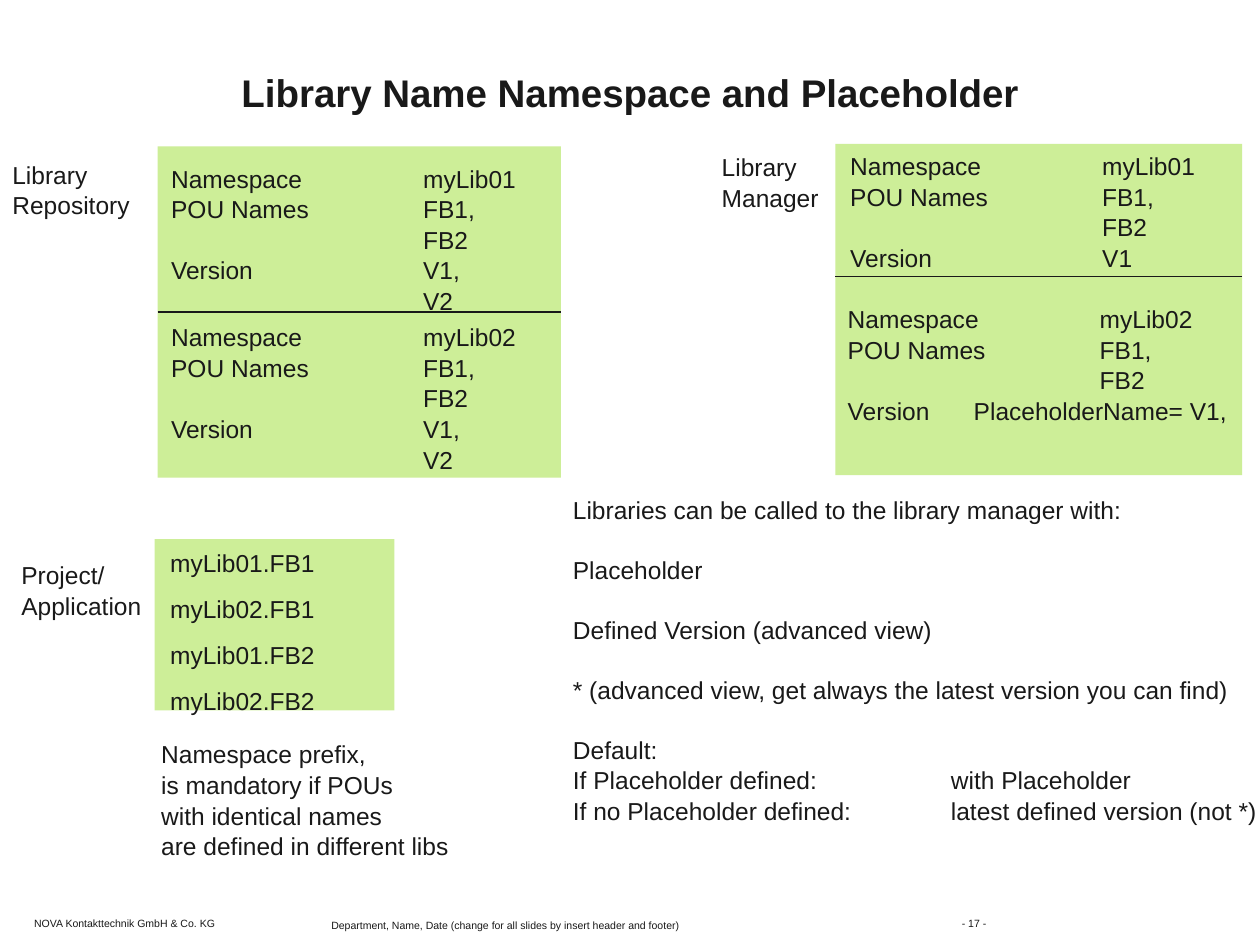
"""Build a slide on library names, namespaces and placeholders."""
import pptx
import pptx.dml.color
import pptx.enum.shapes
import pptx.enum.text
import pptx.oxml.ns
import pptx.util
from lxml import etree

Cm = pptx.util.Cm
Pt = pptx.util.Pt
Align = pptx.enum.text.PP_ALIGN
Anchor = pptx.enum.text.MSO_ANCHOR

INK = pptx.dml.color.RGBColor(0x19, 0x19, 0x19)
GREEN = pptx.dml.color.RGBColor(0xCD, 0xEE, 0x98)
FONT = "Arial"
LINE = 1.04
SECTION_GAP = 16.8
TAB = 2.54

TITLE = "Library Name Namespace and Placeholder"
COMPANY = "NOVA Kontakttechnik GmbH & Co. KG\t- 17 -"
DEPARTMENT = "Department, Name, Date (change for all slides by insert header and footer)"

PANELS = {
    "repository": (3.18, 2.95, 8.13, 6.68),
    "manager": (16.84, 2.9, 8.2, 6.68),
    "project": (3.12, 10.87, 4.83, 3.45),
}

LABELS = [
    ((0, 3.07, 6.38, 1.45), ["Library", "Repository"]),
    ((14.3, 2.92, 6.38, 1.45), ["Library", "Manager"]),
    ((0.18, 11.15, 6.38, 1.45), ["Project/", "Application"]),
    ((3, 14.76, 6.38, 2.64), ["Namespace prefix,", "is mandatory if POUs",
                              "with identical names", "are defined in different libs"]),
]

LIBRARIES = [
    ((3.2, 3.15, 8.99, 3.25), "myLib01", ["Version\tV1,", "\tV2"]),
    ((3.2, 6.35, 7.85, 3.25), "myLib02", ["Version\tV1,", "\tV2"]),
    ((16.89, 2.9, 8.99, 2.64), "myLib01", ["Version\tV1"]),
    ((16.84, 5.98, 8.56, 3.25), "myLib02", []),
]
PLACEHOLDER_VERSION = "Version\tPlaceholderName= V1,"

CALLS = ["myLib01.FB1", "myLib02.FB1", "myLib01.FB2", "myLib02.FB2"]

CALL_OPTIONS = [
    ["Libraries can be called to the library manager with:"],
    ["Placeholder"],
    ["Defined Version (advanced view)"],
    ["* (advanced view, get always the latest version you can find)"],
    ["Default:", "If Placeholder defined:\twith Placeholder",
     "If no Placeholder defined:\tlatest defined version (not *)"],
]


def add_tab(paragraph, position):
    properties = paragraph._p.get_or_add_pPr()
    stops = etree.SubElement(properties, pptx.oxml.ns.qn("a:tabLst"))
    etree.SubElement(stops, pptx.oxml.ns.qn("a:tab"), pos=str(Cm(position)), algn="l")


def add_text(slide, place, sections, size=14, bold=False, align=Align.LEFT,
             anchor=Anchor.TOP, spacing=LINE, tab=None, special_tabs=None):
    frame = slide.shapes.add_textbox(*map(Cm, place)).text_frame
    frame.word_wrap = True
    frame.vertical_anchor = anchor
    for section_index, section in enumerate(sections):
        for line_index, line in enumerate(section):
            first = section_index == line_index == 0
            paragraph = frame.paragraphs[0] if first else frame.add_paragraph()
            position = (special_tabs or {}).get(line, tab)
            if position and "\t" in line:
                add_tab(paragraph, position)
            paragraph.alignment = align
            paragraph.line_spacing = spacing
            if section_index and line_index == 0:
                paragraph.space_before = Pt(SECTION_GAP)
            run = paragraph.add_run()
            run.text = line
            run.font.name = FONT
            run.font.size = Pt(size)
            run.font.bold = bold
            run.font.color.rgb = INK
    return frame


def add_panel(slide, place):
    panel = slide.shapes.add_shape(pptx.enum.shapes.MSO_SHAPE.RECTANGLE, *map(Cm, place))
    panel.shadow.inherit = False
    panel.fill.solid()
    panel.fill.fore_color.rgb = GREEN
    panel.line.fill.background()
    return panel


def add_divider(slide, left, right, y):
    divider = slide.shapes.add_connector(
        pptx.enum.shapes.MSO_CONNECTOR.STRAIGHT, Cm(left), Cm(y), Cm(right), Cm(y))
    divider.line.color.rgb = INK
    divider.line.width = Pt(0.75)
    etree.SubElement(divider._element.spPr, pptx.oxml.ns.qn("a:effectLst"))
    return divider


def main():
    deck = pptx.Presentation()
    deck.slide_width, deck.slide_height = Cm(25.4), Cm(19.05)
    slide = deck.slides.add_slide(deck.slide_layouts[6])

    company = add_text(slide, (0.46, 18.39, 20.02, 0.48), [[COMPANY]],
                       size=6, spacing=1.0, tab=18.7)
    company.margin_left = company.margin_right = Cm(0.23)
    company.margin_top = company.margin_bottom = Cm(0.1)
    add_text(slide, (0.97, 1.22, 23.47, 1.27), [[TITLE]], size=22, bold=True,
             align=Align.CENTER, anchor=Anchor.MIDDLE, spacing=1.0)
    add_text(slide, (6.43, 18.39, 8.05, 0.51), [[DEPARTMENT]], size=6,
             anchor=Anchor.MIDDLE, spacing=1.0)

    panels = {name: add_panel(slide, place) for name, place in PANELS.items()}
    left, top, width, height = PANELS["repository"]
    repository_divider = add_divider(slide, left, left + width, top + height / 2)
    repository_divider.begin_connect(panels["repository"], 1)
    repository_divider.end_connect(panels["repository"], 3)
    left, top, width, height = PANELS["manager"]
    add_divider(slide, left, left + width, top + 0.4 * height)

    for place, lines in LABELS:
        add_text(slide, place, [lines])
    for place, namespace, versions in LIBRARIES:
        rows = [f"Namespace\t{namespace}", "POU Names\tFB1,", "\tFB2"]
        add_text(slide, place, [rows + (versions or [PLACEHOLDER_VERSION])],
                 tab=2 * TAB, special_tabs={PLACEHOLDER_VERSION: TAB})
    add_text(slide, (3.18, 10.59, 6.45, 3.84), [CALLS], spacing=1.5 * LINE)
    add_text(slide, (11.3, 9.83, 14.83, 6.83), CALL_OPTIONS, tab=3 * TAB)

    deck.save("out.pptx")


if __name__ == "__main__":
    main()
